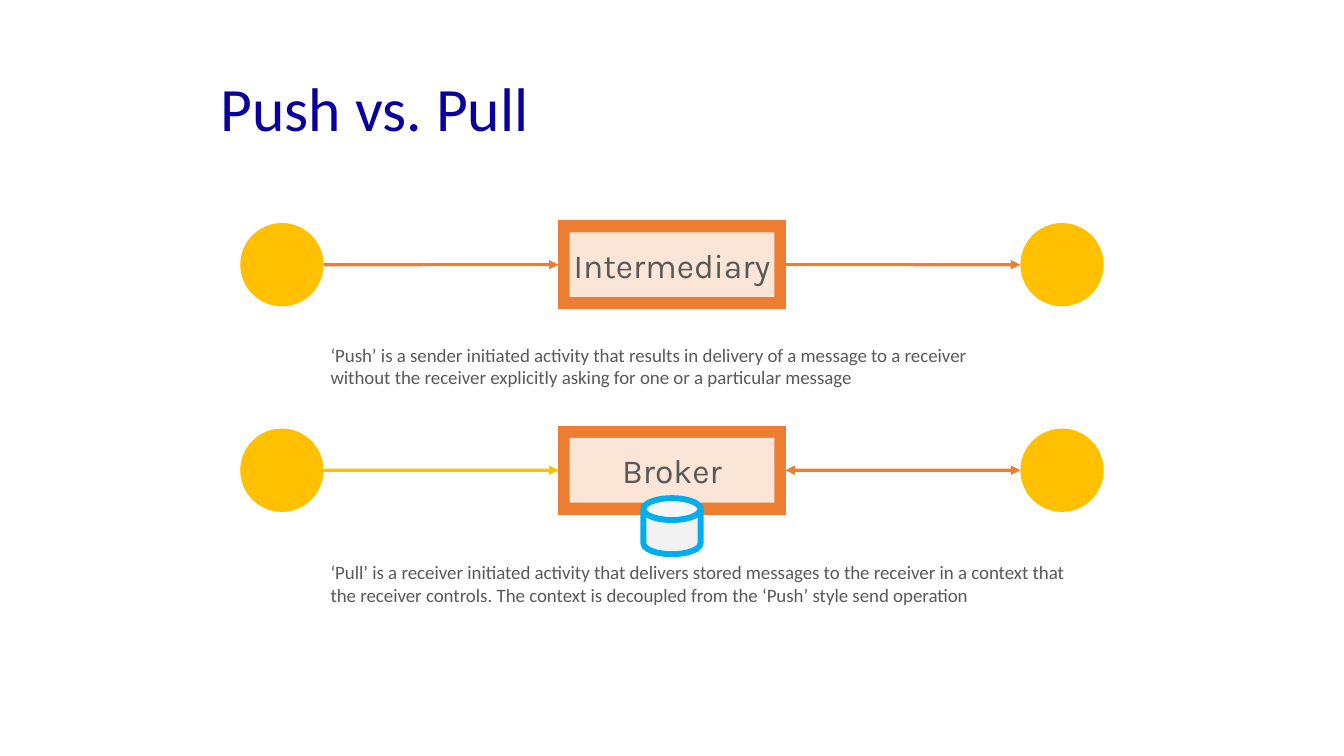
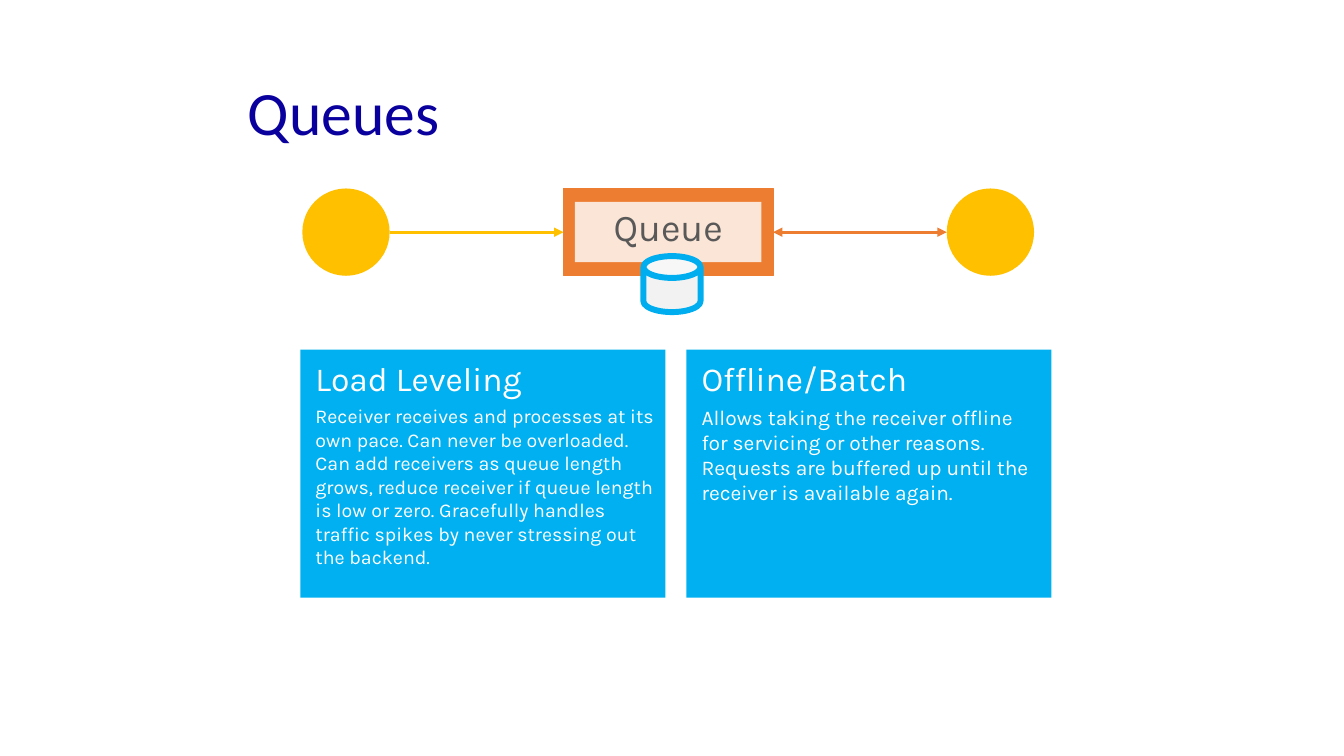
from dataclasses import dataclass
from typing import Optional

import lxml.etree
import pptx
import pptx.dml.color
import pptx.enum.shapes
import pptx.enum.text
import pptx.oxml.ns
import pptx.util

Cm = pptx.util.Cm
Pt = pptx.util.Pt
Preset = pptx.enum.shapes.MSO_SHAPE
Anchor = pptx.enum.text.MSO_ANCHOR
Align = pptx.enum.text.PP_ALIGN


# Theme: colours, fonts and type sizes
@dataclass(frozen=True)
class Theme:
    title: str = "09009E"
    text: str = "595959"
    white: str = "FFFFFF"
    endpoint: str = "FFC000"
    frame: str = "ED7D31"
    panel: str = "FBE5D6"
    card: str = "00B0F0"
    store: str = "F2F2F2"
    store_line: str = "00AEEF"
    body_font: str = "Calibri"
    label_font: str = "Karla"
    title_size: float = 44
    caption_size: float = 13.5
    heading_size: float = 24
    arrow_width: float = 2.25
    frame_width: float = 0.5
    store_width: float = 4.25


THEME = Theme()
SLIDE_WIDTH, SLIDE_HEIGHT = 33.87, 19.05
MIDDLE = SLIDE_WIDTH / 2


# Repeated elements; all lengths are in centimetres
@dataclass(frozen=True)
class Box:
    left: float
    top: float
    width: float
    height: float


@dataclass(frozen=True)
class FlowStyle:
    center: float
    reach: float  # from the centre to the centre of each circle
    diameter: float
    frame: tuple[float, float]
    panel: tuple[float, float]
    label_size: float
    bottom_inset: float
    store_drop: float


@dataclass(frozen=True)
class Flow:
    label: str
    middle: float
    sender_color: str
    stored: bool  # the receiver pulls from a store


@dataclass(frozen=True)
class Caption:
    text: str
    box: Box


@dataclass(frozen=True)
class Card:
    heading: str
    body: str
    body_size: float


WIDE = FlowStyle(MIDDLE, 9.83, 2.1, (5.72, 2.21), (5.16, 1.63), 24, 0.1, 1.41)
COMPACT = FlowStyle(16.84, 8.12, 2.2, (5.28, 2.2), (4.7, 1.52), 27, 0.38, 1.31)

PUSH_PULL_FLOWS = [
    Flow("Intermediary", 6.67, THEME.frame, False),
    Flow("Broker", 11.85, THEME.endpoint, True),
]
CAPTIONS = [
    Caption("‘Push’ is a sender initiated activity that results in delivery of a message "
            "to a receiver without the receiver explicitly asking for one or a particular "
            "message", Box(8.15, 8.28, 17.63, 1.88)),
    Caption("‘Pull’ is a receiver initiated activity that delivers stored messages to the "
            "receiver in a context that the receiver controls. The context is decoupled "
            "from the ‘Push’ style send operation", Box(8.15, 13.44, 19.5, 2.51)),
]
QUEUE_FLOW = Flow("Queue", 5.85, THEME.endpoint, True)
CARDS = [
    Card("Load Leveling",
         "Receiver receives and processes at its own pace. Can never be overloaded. Can add "
         "receivers as queue length grows, reduce receiver if queue length is low or zero. "
         "Gracefully handles traffic spikes by never stressing out the backend.", 14),
    Card("Offline/Batch",
         "Allows taking the receiver offline for servicing or other reasons. Requests are "
         "buffered up until the receiver is available again.", 15),
]
FIRST_CARD = Box(7.57, 8.81, 9.2, 6.25)
CARD_GAP = 0.53


# Drawing helpers
def rgb(color: str) -> pptx.dml.color.RGBColor:
    return pptx.dml.color.RGBColor.from_string(color)


def centered(x: float, y: float, width: float, height: float) -> Box:
    return Box(x - width / 2, y - height / 2, width, height)


def place(box: Box) -> tuple:
    return Cm(box.left), Cm(box.top), Cm(box.width), Cm(box.height)


def set_frame(shape, insets: tuple[float, float, float, float], anchor=Anchor.MIDDLE):
    frame = shape.text_frame
    frame.word_wrap = True
    frame.vertical_anchor = anchor
    frame.margin_left, frame.margin_top, frame.margin_right, frame.margin_bottom = map(Cm, insets)
    return frame


def write(paragraph, text: str, font: str, size: float, color: str, align=Align.LEFT) -> None:
    paragraph.text = text
    paragraph.alignment = align
    paragraph.font.name = font
    paragraph.font.size = Pt(size)
    paragraph.font.color.rgb = rgb(color)


def add_shape(slide, preset, box: Box, fill: str, line: Optional[str] = None, width: float = 0):
    shape = slide.shapes.add_shape(preset, *place(box))
    shape.shadow.inherit = False
    shape.fill.solid()
    shape.fill.fore_color.rgb = rgb(fill)
    if line:
        shape.line.color.rgb = rgb(line)
        shape.line.width = Pt(width)
    else:
        shape.line.fill.background()
    return shape


def add_arrow(slide, start: float, end: float, y: float, color: str, both_ends: bool):
    arrow = slide.shapes.add_connector(
        pptx.enum.shapes.MSO_CONNECTOR.STRAIGHT, Cm(start), Cm(y), Cm(end), Cm(y))
    arrow.line.color.rgb = rgb(color)
    arrow.line.width = Pt(THEME.arrow_width)
    qn = pptx.oxml.ns.qn
    properties = arrow.line._get_or_add_ln()
    for tag in ("a:headEnd", "a:tailEnd") if both_ends else ("a:tailEnd",):
        lxml.etree.SubElement(properties, qn(tag)).set("type", "triangle")
    lxml.etree.SubElement(properties.getparent(), qn("a:effectLst"))
    return arrow


def add_title(slide, text: str, left: float, top: float) -> None:
    shape = slide.shapes.add_textbox(*place(Box(left, top, 23.24, 2.08)))
    paragraph = set_frame(shape, (0.25, 0.13, 0.25, 0.13)).paragraphs[0]
    write(paragraph, text, THEME.body_font, THEME.title_size, THEME.title)
    paragraph.line_spacing = 0.9


def add_caption(slide, caption: Caption) -> None:
    shape = slide.shapes.add_textbox(*place(caption.box))
    paragraph = set_frame(shape, (0.18, 0.1, 0.18, 0.1)).paragraphs[0]
    write(paragraph, caption.text, THEME.body_font, THEME.caption_size, THEME.text)


def add_flow(slide, flow: Flow, style: FlowStyle) -> None:
    center, y = style.center, flow.middle
    # Sender and receiver
    for x in (center - style.reach, center + style.reach):
        add_shape(slide, Preset.OVAL, centered(x, y, style.diameter, style.diameter),
                  THEME.endpoint)
    # Framed label
    frame = add_shape(slide, Preset.RECTANGLE, centered(center, y, *style.frame),
                      THEME.frame, THEME.frame, THEME.frame_width)
    panel = add_shape(slide, Preset.RECTANGLE, centered(center, y, *style.panel), THEME.panel)
    paragraph = set_frame(panel, (0, 0.1, 0, style.bottom_inset)).paragraphs[0]
    write(paragraph, flow.label, THEME.label_font, style.label_size, THEME.text, Align.CENTER)
    # Arrows between the circles and the frame
    outer = style.reach - style.diameter / 2
    inner = style.frame[0] / 2
    sending = add_arrow(slide, center - outer, center - inner, y, flow.sender_color, False)
    sending.end_connect(frame, 1)
    receiving = add_arrow(slide, center + inner, center + outer, y, THEME.frame, flow.stored)
    receiving.begin_connect(frame, 3)
    # Message store
    if flow.stored:
        store = add_shape(slide, Preset.CAN, centered(MIDDLE, y + style.store_drop, 1.44, 1.41),
                          THEME.store, THEME.store_line, THEME.store_width)
        store.adjustments[0] = 0.39


def add_card(slide, card: Card, box: Box) -> None:
    shape = add_shape(slide, Preset.RECTANGLE, box, THEME.card)
    frame = set_frame(shape, (0.38, 0.2, 0.2, 0), Anchor.TOP)
    heading, body = frame.paragraphs[0], frame.add_paragraph()
    write(heading, card.heading, THEME.label_font, THEME.heading_size, THEME.white)
    write(body, card.body, THEME.label_font, card.body_size, THEME.white)
    heading.space_after = Pt(4.5)


# Slides
def add_slide(presentation):
    return presentation.slides.add_slide(presentation.slide_layouts[6])


def build_push_pull(presentation) -> None:
    slide = add_slide(presentation)
    add_title(slide, "Push vs. Pull", 5.31, 1.78)
    for flow, caption in zip(PUSH_PULL_FLOWS, CAPTIONS):
        add_flow(slide, flow, WIDE)
        add_caption(slide, caption)


def build_queues(presentation) -> None:
    slide = add_slide(presentation)
    add_title(slide, "Queues", 6, 1.88)
    add_flow(slide, QUEUE_FLOW, COMPACT)
    for index, card in enumerate(CARDS):
        left = FIRST_CARD.left + index * (FIRST_CARD.width + CARD_GAP)
        add_card(slide, card, Box(left, FIRST_CARD.top, FIRST_CARD.width, FIRST_CARD.height))


def main() -> None:
    presentation = pptx.Presentation()
    presentation.slide_width = Cm(SLIDE_WIDTH)
    presentation.slide_height = Cm(SLIDE_HEIGHT)
    build_push_pull(presentation)
    build_queues(presentation)
    presentation.save("out.pptx")


if __name__ == "__main__":
    main()
